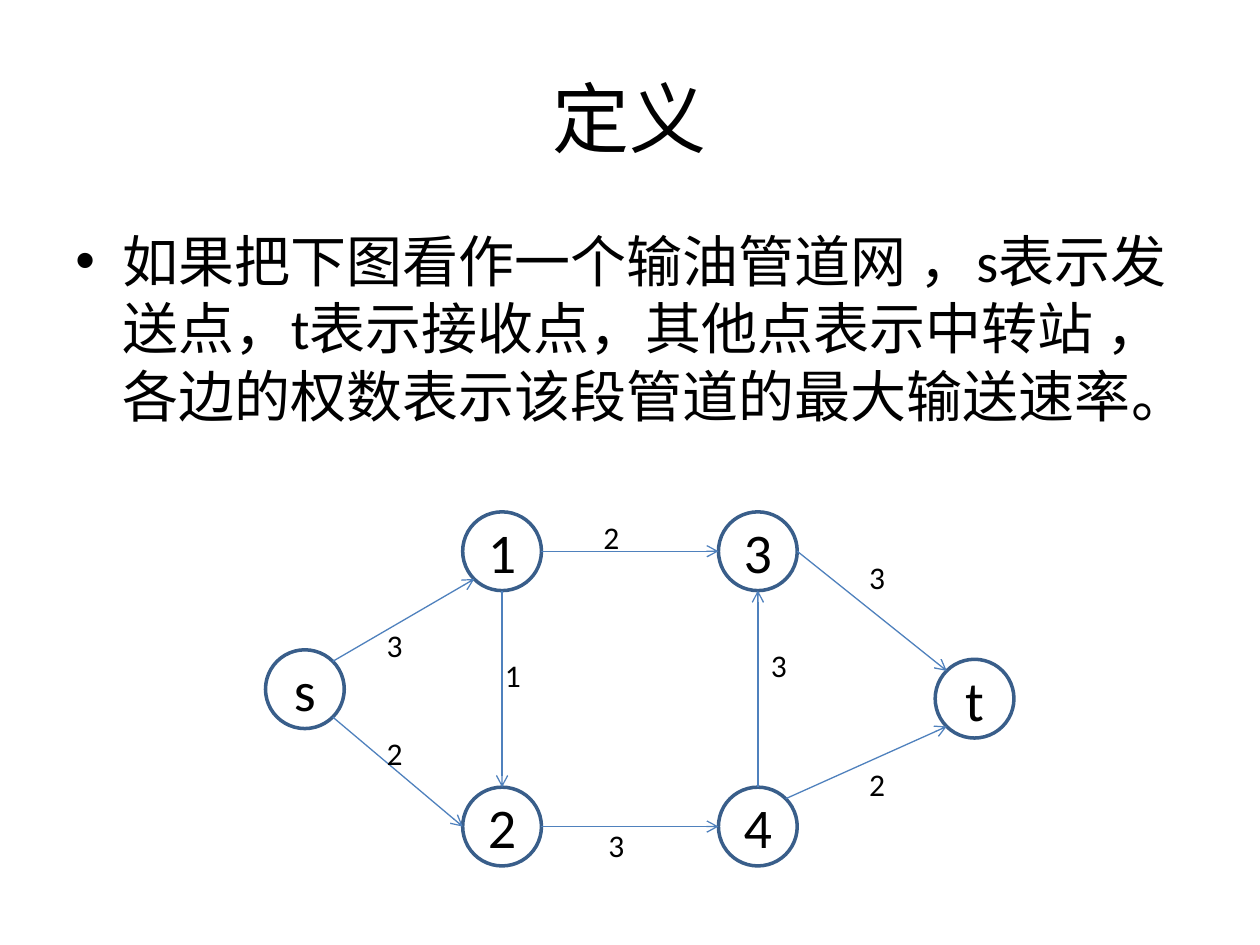
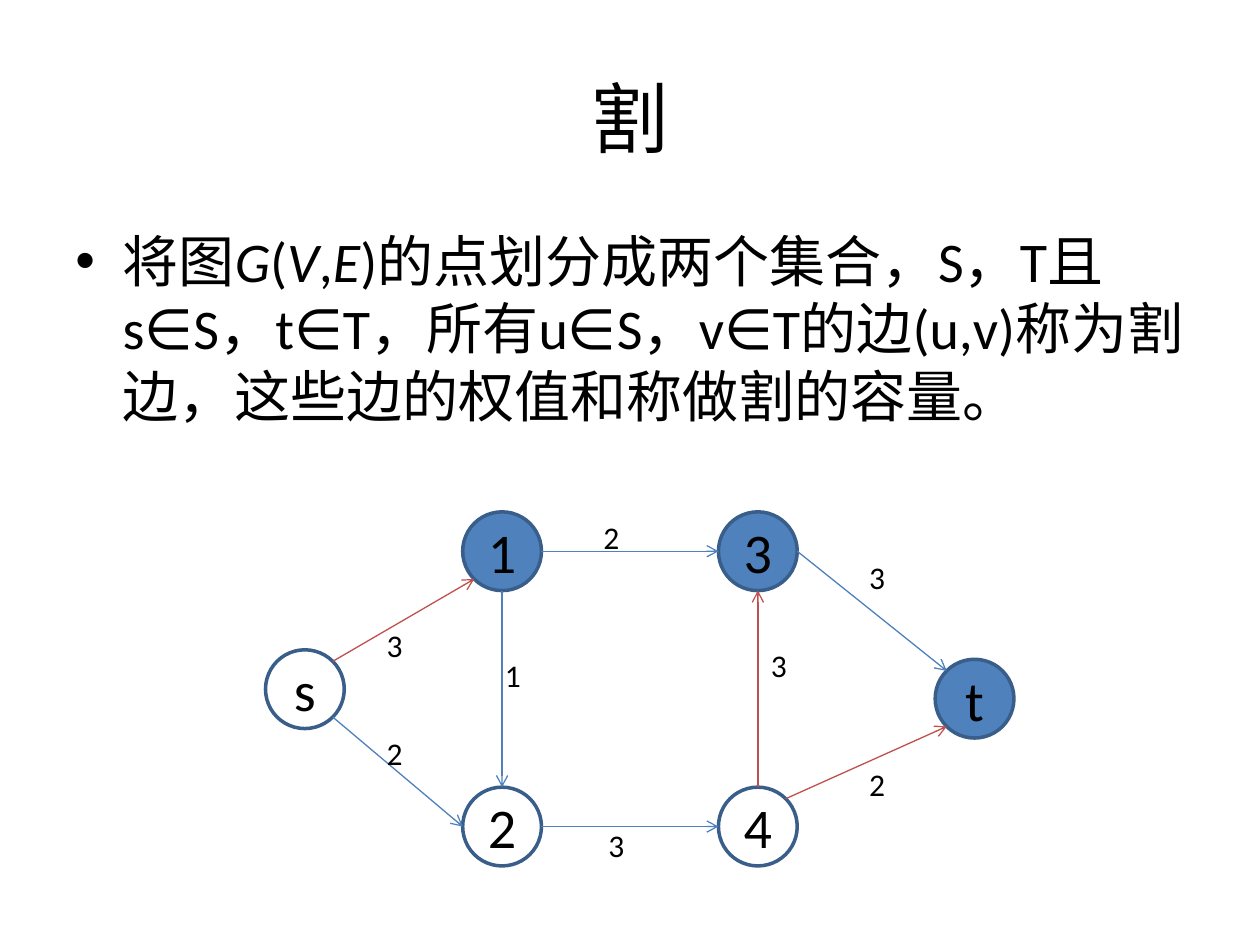
"""Build two slides on flow networks: the definition and the cut."""
from dataclasses import dataclass
from math import cos, radians, sin

from lxml.etree import SubElement
from pptx import Presentation
from pptx.dml.color import RGBColor
from pptx.enum.shapes import MSO_CONNECTOR, MSO_SHAPE
from pptx.enum.text import MSO_ANCHOR, MSO_AUTO_SIZE, PP_ALIGN
from pptx.oxml.ns import qn
from pptx.util import Inches, Pt


@dataclass(frozen=True)
class Theme:
    font: str = "Calibri"
    ink: RGBColor = RGBColor.from_string("000000")
    outline: RGBColor = RGBColor.from_string("395E8A")
    blue: RGBColor = RGBColor.from_string("4F81BD")
    red: RGBColor = RGBColor.from_string("C0504D")
    title: Pt = Pt(44)
    body: Pt = Pt(32)
    label: Pt = Pt(18)
    node_line: Pt = Pt(2)
    edge_line: Pt = Pt(0.75)


theme = Theme()
prs = Presentation()
prs.slide_width, prs.slide_height = Inches(10), Inches(7.5)
COL, ROW = prs.slide_width / 100, prs.slide_height / 75


def grid(*cells):
    return [round(n * (ROW if i % 2 else COL)) for i, n in enumerate(cells)]


def write(sp, runs, size, align=PP_ALIGN.LEFT, anchor=MSO_ANCHOR.TOP):
    tf = sp.text_frame
    tf.word_wrap, tf.vertical_anchor = True, anchor
    p = tf.paragraphs[0]
    p.alignment = align
    for text, italic in runs:
        r = p.add_run()
        r.text = text
        r.font.name, r.font.size, r.font.italic = theme.font, size, italic
        r.font.color.rgb = theme.ink
    return p


DIAMETER = 6.25
LEFT_COL, RIGHT_COL, TOP_ROW, BOTTOM_ROW = 39.85, 60.15, 43.75, 65.6
NODES = {
    "s": (24.2, 54.7),
    "1": (LEFT_COL, TOP_ROW),
    "2": (LEFT_COL, BOTTOM_ROW),
    "3": (RIGHT_COL, TOP_ROW),
    "4": (RIGHT_COL, BOTTOM_ROW),
    "t": (77.35, 55.45),
}
# Each edge: start, angle out, end, angle in, weight, label left, top, width.
EDGES = [
    ("s", 315, "1", 135, "3", 29.7, 49.2, 10.9),
    ("1", 0, "3", 180, "2", 46.9, 40.6, 9.4),
    ("3", 0, "t", 225, "3", 68, 43.8, 10.2),
    ("s", 45, "2", 180, "2", 29.7, 57.8, 7.8),
    ("2", 0, "4", 180, "3", 47.3, 65.1, 8.9),
    ("4", 315, "t", 135, "2", 68, 60.2, 9.4),
    ("1", 90, "2", 270, "1", 39.1, 51.6, 9.4),
    ("4", 270, "3", 90, "3", 60.2, 50.8, 11.7),
]
SLIDES = [
    ("定义",
     [("如果把下图看作一个输油管道网 ，s表示发送点，t表示接收点，其他点表示中转站 ，"
       "各边的权数表示该段管道的最大输送速率。", False)],
     "", []),
    ("割",
     [("将图", False), ("G", True), ("(", False), ("V", True), (",", False), ("E", True),
      (")的点划分成两个集合，S，T且s∈S，t∈T，所有u∈S，v∈T的边(u,v)称为割边，"
       "这些边的权值和称做割的容量。", False)],
     "13t", ["s1", "4t", "43"]),
]

for title, body, filled_nodes, cut_edges in SLIDES:
    s = prs.slides.add_slide(prs.slide_layouts[6])
    sp = s.shapes.add_textbox(*grid(5, 3, 90, 12.5))
    write(sp, [(title, False)], theme.title, PP_ALIGN.CENTER, MSO_ANCHOR.MIDDLE)

    sp = s.shapes.add_textbox(*grid(5, 17.5, 90, 49.5))
    p = write(sp, body, theme.body)
    p.space_before = Pt(8)
    pPr = p._p.get_or_add_pPr()
    indent = round(3.75 * COL)
    pPr.set("marL", str(indent))
    pPr.set("indent", str(-indent))
    SubElement(pPr, qn("a:buFont"), typeface="Arial")
    SubElement(pPr, qn("a:buChar"), char="•")

    for name, (x, y) in NODES.items():
        box = grid(x - DIAMETER / 2, y - DIAMETER / 2, DIAMETER, DIAMETER)
        sp = s.shapes.add_shape(MSO_SHAPE.OVAL, *box)
        sp.shadow.inherit = False
        sp.line.color.rgb, sp.line.width = theme.outline, theme.node_line
        if name in filled_nodes:
            sp.fill.solid()
            sp.fill.fore_color.rgb = theme.blue
        else:
            sp.fill.background()
        write(sp, [(name, False)], theme.body, PP_ALIGN.CENTER, MSO_ANCHOR.MIDDLE)

    for start, angle_out, end, angle_in, *_ in EDGES:
        ends = []
        for name, angle in ((start, angle_out), (end, angle_in)):
            x, y = NODES[name]
            ends += [x + DIAMETER / 2 * cos(radians(angle)),
                     y + DIAMETER / 2 * sin(radians(angle))]
        edge = s.shapes.add_connector(MSO_CONNECTOR.STRAIGHT, *grid(*ends))
        edge.line.color.rgb = theme.red if start + end in cut_edges else theme.blue
        edge.line.width = theme.edge_line
        SubElement(edge.line._get_or_add_ln(), qn("a:tailEnd"), type="arrow")
        SubElement(edge._element.spPr, qn("a:effectLst"))

    for *_, weight, left, top, width in EDGES:
        sp = s.shapes.add_textbox(*grid(left, top, width, 4))
        write(sp, [(weight, False)], theme.label)
        sp.text_frame.auto_size = MSO_AUTO_SIZE.SHAPE_TO_FIT_TEXT

prs.save("out.pptx")
